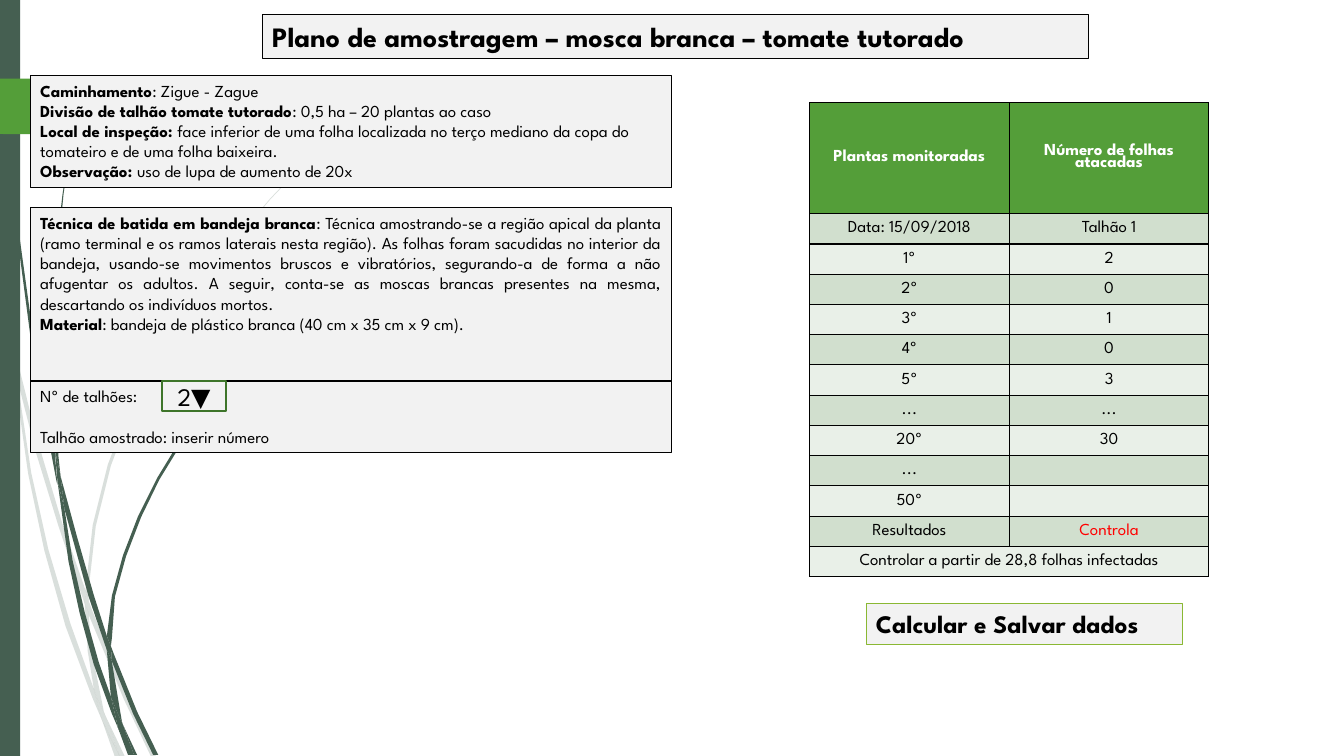
from math import dist
from typing import NamedTuple

from lxml import etree
from pptx import Presentation
from pptx.dml.color import RGBColor
from pptx.enum.shapes import MSO_SHAPE
from pptx.enum.text import MSO_ANCHOR, PP_ALIGN
from pptx.oxml.ns import qn
from pptx.util import Inches, Pt

RECTANGLE = MSO_SHAPE.RECTANGLE
LEFT, CENTER, JUSTIFY = PP_ALIGN.LEFT, PP_ALIGN.CENTER, PP_ALIGN.JUSTIFY
TOP, MIDDLE = MSO_ANCHOR.TOP, MSO_ANCHOR.MIDDLE
FONT = "League Spartan"
BLACK = RGBColor(0x00, 0x00, 0x00)
WHITE = RGBColor(0xFF, 0xFF, 0xFF)
RED = RGBColor(0xFF, 0x00, 0x00)
PANEL = RGBColor(0xF2, 0xF2, 0xF2)
FOREST = RGBColor(0x45, 0x5F, 0x51)
GREEN = RGBColor(0x54, 0x9E, 0x39)
DARK_GREEN = RGBColor(0x3E, 0x75, 0x2A)
LIME = RGBColor(0x8A, 0xB8, 0x33)
BANDS = (RGBColor(0xE9, 0xF0, 0xE8), RGBColor(0xD1, 0xDF, 0xCE))
STEPS_PER_INCH = 3

PALE_WISPS = (
    "0.11 3.5 0.09 3.22 0 2.82 0 2.99 0.1 3.44",
    "0.58 5.22 0.84 5.99 0.85 5.86 0.62 5.2 0.36 4.33 0.14 3.45 0.17 3.76 0.36 4.5",
    "0.92 6.07 0.88 5.96 0.88 6.1 1.23 6.94 1.5 7.51 1.55 7.51 1.27 6.92",
    "1.19 7.51 1.24 7.51 1.05 7.11",
    "0.93 6.83 0.7 6.19 0.48 5.45 0.31 4.69 0.17 3.76 0.11 3.5 0.28 4.7 0.44 5.46 0.65 6.21 0.92 6.93 "
    "1.01 7.14 0.99 7.07",
    "0.84 5.99 0.87 6.46 0.93 6.83 0.96 6.92 1.05 7.11 1.03 7.06 0.91 6.46 0.88 6.1 0.88 6.08",
    "0.88 5.84 0.95 5.22 1.1 4.62 1.32 4.04 1.6 3.49 1.92 2.95 2.29 2.45 2.68 1.98 2.9 1.75 3.12 1.54 "
    "3.12 1.53 2.89 1.75 2.68 1.97 2.28 2.44 1.9 2.94 1.58 3.48 1.29 4.03 1.07 4.61 0.92 5.21 0.85 5.84 "
    "0.85 5.86 0.88 5.96",
    "1.01 7.14 1.14 7.51 1.19 7.51",
    "0.88 6.08 0.88 6.1 0.88 5.96 0.85 5.86 0.84 5.99",
    "0.96 6.92 0.93 6.83 0.99 7.07 1.01 7.14 1.19 7.51 1.05 7.11",
)
DARK_WISPS = (
    "0.07 1.1 0.17 2.33 0.33 3.55 0.56 4.77 0.57 4.81 0.55 4.57 0.55 4.53 0.36 3.55 0.19 2.32 0.08 1.09 "
    "0.05 0.48 0.04 0 0.03 0 0.04 0.48",
    "0.88 5.92 1.06 6.45 1.06 6.33 1.06 6.31 0.93 5.9 0.76 5.31 0.6 4.72 0.64 5.05",
    "1.13 6.49 1.1 6.41 1.11 6.56 1.32 7.08 1.52 7.49 1.57 7.49 1.36 7.06",
    "1.1 6.91 0.98 6.57 0.84 6.07 0.72 5.56 0.64 5.05 0.57 4.77 0.68 5.57 0.79 6.08 0.93 6.59 1.11 7.08 "
    "1.17 7.22 1.16 7.17",
    "0.6 4.72 0.58 4.53 0.54 3.49 0.58 2.45 0.63 1.93 0.7 1.41 0.62 1.93 0.56 2.45 0.52 3.49 0.55 4.49",
    "1.33 7.49 1.36 7.49 1.22 7.19",
    "0.57 4.77 0.64 5.05 0.6 4.72 0.55 4.49 0.55 4.53",
    "1.11 6.33 1.14 5.92 1.25 5.52 1.4 5.13 1.58 4.76 1.8 4.4 2.05 4.06 2.31 3.74 2.45 3.59 2.61 3.44 "
    "2.6 3.44 2.45 3.58 2.31 3.73 2.04 4.05 1.78 4.38 1.56 4.74 1.37 5.12 1.22 5.51 1.11 5.91 1.06 6.31 "
    "1.1 6.41",
    "1.17 7.22 1.27 7.49 1.31 7.49",
    "1.06 6.45 1.1 6.91 1.16 7.06 1.22 7.19 1.21 7.16 1.11 6.56 1.09 6.51",
    "1.06 6.45 1.09 6.51 1.11 6.56 1.1 6.41 1.06 6.31 1.06 6.33",
    "1.16 7.06 1.1 6.91 1.16 7.17 1.17 7.22 1.3 7.49 1.33 7.49 1.22 7.19",
)
TAG = "0 0.78 1.46 0.78 1.48 0.79 1.73 1.04 1.73 1.08 1.48 1.33 1.46 1.34 0 1.33"
INSPECTION = (
    (("Caminhamento", True), (": Zigue - Zague", False)),
    (("Divisão de talhão tomate tutorado", True), (": 0,5 ha – 20 plantas ao caso", False)),
    (("Local de inspeção: ", True), ("face inferior de uma folha localizada no terço mediano da copa do "
                                     "tomateiro e de uma folha baixeira.", False)),
    (("Observação: ", True), ("uso de lupa de aumento de 20x", False)),
)
TECHNIQUE = (
    (("Técnica de batida em bandeja branca", True),
     (": Técnica amostrando-se a região apical da planta (ramo terminal e os ramos laterais nesta região). "
      "As folhas foram sacudidas no interior da bandeja, usando-se movimentos bruscos e vibratórios, "
      "segurando-a de forma a não afugentar os adultos. A seguir, conta-se as moscas brancas presentes na "
      "mesma, descartando os indivíduos mortos.", False)),
    (("Material", True), (": bandeja de plástico branca (40 cm x 35 cm x 9 cm).", False)),
)
PLOTS = ((("Nº de talhões:", False),), (("Talhão amostrado: inserir número", False),))
COUNTS = (
    ("Plantas monitoradas", "Número de folhas atacadas"), ("Data: 15/09/2018", "Talhão 1"),
    ("1º", "2"), ("2º", "0"), ("3º", "1"), ("4º", "0"), ("5º", "3"), ("...", "..."), ("20º", "30"),
    ("...", ""), ("50º", ""), ("Resultados", "Controla"), ("Controlar a partir de 28,8 folhas infectadas", ""),
)


class Box(NamedTuple):
    """Area of the page in inches."""
    left: float
    top: float
    width: float
    height: float


def write(para, text, size=12, bold=False, color=BLACK):
    """Add a formatted span of text to a paragraph."""
    span = para.add_run()
    span.text = text
    span.font.name, span.font.size, span.font.bold = FONT, Pt(size), bold
    span.font.color.rgb = color


def draw_outline(shapes, box, outline, color, opacity=100):
    """Draw a filled outline whose points are relative to the box."""
    values = [float(value) for value in outline.split()]
    spots = [(Inches(box.left + x), Inches(box.top + y)) for x, y in zip(values[::2], values[1::2])]
    builder = shapes.build_freeform(*spots[0])
    builder.add_line_segments(spots[1:], close=True)
    shape = builder.convert_to_shape()
    shape.shadow.inherit = False
    shape.fill.solid()
    shape.fill.fore_color.rgb = color
    shape.line.fill.background()
    if opacity < 100:
        tint = shape.fill._xPr.find(qn("a:solidFill"))[0]
        etree.SubElement(tint, qn("a:alpha")).set("val", str(opacity * 1000))


def draw_backdrop(page, box):
    """Draw the grass wisps, the side bar and the green tag."""
    for wisps, opacity in ((PALE_WISPS, 20), (DARK_WISPS, 100)):
        group = page.shapes.add_group_shape()
        for wisp in wisps:
            draw_outline(group.shapes, box, wisp, FOREST, opacity)
    draw_panel(page, Box(box.left, box.top, 0.2, box.height), (), fill=FOREST, line=None)
    draw_outline(page.shapes, box, TAG, GREEN)


def draw_panel(page, box, paragraphs, size=12, fill=PANEL, line=BLACK, weight=0.75,
               align=LEFT, anchor=TOP, gap=0):
    """Draw a rectangle with paragraphs made of (text, bold) spans."""
    panel = page.shapes.add_shape(RECTANGLE, *map(Inches, box))
    panel.shadow.inherit = False
    panel.fill.solid()
    panel.fill.fore_color.rgb = fill
    if line is None:
        panel.line.fill.background()
    else:
        panel.line.color.rgb, panel.line.width = line, Pt(weight)
    frame = panel.text_frame
    frame.word_wrap, frame.vertical_anchor = True, anchor
    for index, spans in enumerate(paragraphs):
        para = frame.add_paragraph() if index else frame.paragraphs[0]
        para.alignment, para.space_before = align, Pt(gap if index else 0)
        for text, bold in spans:
            write(para, text, size=size, bold=bold)


def border(cell):
    """Give a cell thin black lines on its four sides."""
    properties = cell._tc.get_or_add_tcPr()
    for index, side in enumerate(("lnL", "lnR", "lnT", "lnB")):
        edge = etree.Element(qn(f"a:{side}"), w=str(Pt(1)))
        fill = etree.SubElement(edge, qn("a:solidFill"))
        etree.SubElement(fill, qn("a:srgbClr"), val=str(BLACK))
        properties.insert(index, edge)


def draw_counts(page, box, header=1.1):
    """Draw the table of attacked leaves per plant."""
    table = page.shapes.add_table(len(COUNTS), 2, *map(Inches, box)).table
    table.horz_banding = False
    for column in table.columns:
        column.width = Inches(box.width / 2)
    for index, texts in enumerate(COUNTS):
        table.rows[index].height = Inches((box.height - header) / (len(COUNTS) - 1) if index else header)
        for cell, text in zip(table.rows[index].cells, texts):
            cell.fill.solid()
            cell.fill.fore_color.rgb = BANDS[index % 2] if index else GREEN
            cell.margin_top = cell.margin_bottom = 0
            cell.vertical_anchor = MIDDLE
            border(cell)
            para = cell.text_frame.paragraphs[0]
            para.alignment = CENTER
            para.line_spacing = 1.0 if index else 0.75
            color = RED if text == "Controla" else BLACK if index else WHITE
            write(para, text, bold=index == 0, color=color)
    last = len(COUNTS) - 1
    table.cell(last, 0).merge(table.cell(last, 1))


def main():
    """Build the sampling plan and save it."""
    deck = Presentation()
    deck.slide_width, deck.slide_height = Inches(13.33), Inches(7.5)
    page = deck.slides.add_slide(deck.slide_layouts[6])
    draw_backdrop(page, Box(0, 0, 13.33, 7.5))
    title = "Plano de amostragem – mosca branca – tomate tutorado"
    draw_panel(page, Box(2.6, 0.14, 8.2, 0.44), (((title, True),),), size=20)
    draw_panel(page, Box(0.3, 0.75, 6.36, 1.11), INSPECTION)
    draw_panel(page, Box(0.3, 2.06, 6.36, 1.72), TECHNIQUE, align=JUSTIFY)
    draw_counts(page, Box(8.03, 1.02, 3.96, 4.7))
    draw_panel(page, Box(8.59, 5.99, 3.14, 0.4), ((("Calcular e Salvar dados", True),),), size=18, line=LIME)
    draw_panel(page, Box(0.3, 3.78, 6.36, 0.71), PLOTS, gap=14.4)
    draw_panel(page, Box(1.61, 3.78, 0.63, 0.3), ((("2▼", False),),), size=18,
               line=DARK_GREEN, weight=1.25, align=CENTER, anchor=MIDDLE)
    deck.save("out.pptx")


if __name__ == "__main__":
    main()
